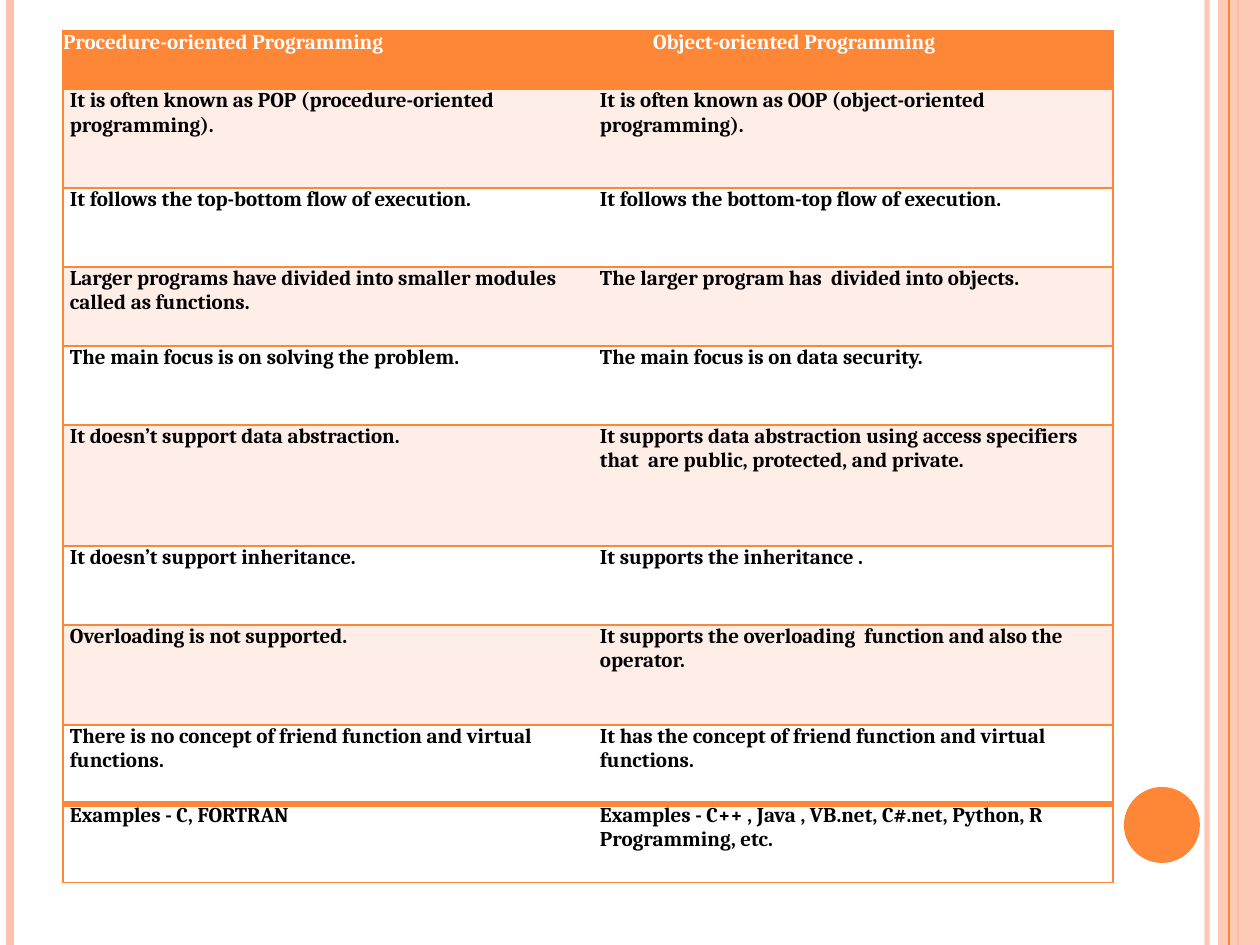
from dataclasses import dataclass

from pptx import Presentation
from pptx.dml.color import RGBColor
from pptx.enum.shapes import MSO_CONNECTOR, MSO_SHAPE
from pptx.oxml.ns import qn
from pptx.util import Emu, Pt
from lxml.etree import SubElement

# Content: one pair per row, the first being the header
ROWS = [
    ("Procedure-oriented Programming", "Object-oriented Programming"),
    ("It is often known as POP (procedure-oriented programming).",
     "It is often known as OOP (object-oriented programming)."),
    ("It follows the top-bottom flow of execution.",
     "It follows the bottom-top flow of execution."),
    ("Larger programs have divided into smaller modules called as functions.",
     "The larger program has  divided into objects."),
    ("The main focus is on solving the problem.",
     "The main focus is on data security."),
    ("It doesn’t support data abstraction.",
     "It supports data abstraction using access specifiers  that  are public, protected, and private."),
    ("It doesn’t support inheritance.", "It supports the inheritance ."),
    ("Overloading is not supported.",
     "It supports the overloading  function and also the operator."),
    ("There is no concept of friend function and virtual functions.",
     "It has the concept of friend function and virtual functions."),
    ("Examples - C, FORTRAN",
     "Examples - C++ , Java , VB.net, C#.net, Python, R Programming, etc."),
]


@dataclass(frozen=True)
class Theme:
    accent: str = "FE8637"
    pale: str = "FEC3AE"
    tint: str = "FFEDE8"
    white: str = "FFFFFF"
    black: str = "000000"
    font: str = "Cambria"
    size: float = 12
    border: float = 1
    thick_border: float = 4


THEME = Theme()

# Layout in px
SLIDE_WIDTH, SLIDE_HEIGHT = 1260, 945
TABLE_LEFT, TABLE_TOP = 63, 31
COLUMN_WIDTHS = [530, 520]
ROW_HEIGHTS = [58, 99, 79, 79, 79, 121, 79, 100, 79, 79]
HEADER_INDENTS, BODY_INDENT = [0, 60], 7
# x, colour, width in points, opacity in percent
OUTER_RULES = [(1207, THEME.pale, 3, 93), (10, THEME.pale, 4.5, 100),
               (1238, THEME.accent, 1.5, 100)]
INNER_RULE = (1229, THEME.accent, 0.75, 100)
BAND = (1218, 0, 42, SLIDE_HEIGHT)
CIRCLE = (1124, 787, 76, 76)


def px(value):
    return Emu(round(value * 914400 / 126))


def set_opacity(shape, percent):
    if percent < 100:
        color = next(shape.element.spPr.iter(qn("a:srgbClr")))
        SubElement(color, qn("a:alpha"), val=str(percent * 1000))


def add_rule(slide, x, color, width, opacity):
    rule = slide.shapes.add_connector(
        MSO_CONNECTOR.STRAIGHT, px(x), 0, px(x), px(SLIDE_HEIGHT))
    rule.line.color.rgb = RGBColor.from_string(color)
    rule.line.width = Pt(width)
    set_opacity(rule, opacity)
    SubElement(rule.element.spPr, qn("a:effectLst"))


def add_filled(slide, kind, box, color, opacity=100):
    shape = slide.shapes.add_shape(kind, *map(px, box))
    shape.shadow.inherit = False
    shape.fill.solid()
    shape.fill.fore_color.rgb = RGBColor.from_string(color)
    shape.line.fill.background()
    set_opacity(shape, opacity)


def set_borders(cell, widths):
    properties = cell._tc.get_or_add_tcPr()
    for side in "LRTB":
        width = widths.get(side, 0)
        line = SubElement(properties, qn(f"a:ln{side}"), w=str(Pt(width)))
        if width:
            fill = SubElement(line, qn("a:solidFill"))
            SubElement(fill, qn("a:srgbClr"), val=THEME.accent)
        else:
            SubElement(line, qn("a:noFill"))


def fill_cell(cell, text, row, column):
    header, last = row == 0, row == len(ROWS) - 1
    # Box: outer side plus top and bottom, heavy rule above the examples
    top = THEME.thick_border if last else THEME.border
    set_borders(cell, {"LR"[column]: THEME.border, "T": top, "B": THEME.border})
    tinted = row % 2 == 1 and not last
    color = THEME.accent if header else THEME.tint if tinted else THEME.white
    cell.fill.solid()
    cell.fill.fore_color.rgb = RGBColor.from_string(color)
    cell.margin_left = cell.margin_right = cell.margin_top = cell.margin_bottom = 0

    # Text
    cell.text_frame.text = text
    paragraph = cell.text_frame.paragraphs[0]
    indent = HEADER_INDENTS[column] if header else BODY_INDENT
    properties = paragraph._p.get_or_add_pPr()
    properties.set("marL", str(px(indent)))
    properties.set("indent", "0")
    paragraph.space_before = Pt(0 if header and column == 0 else 4)
    font = paragraph.runs[0].font
    font.name, font.size, font.bold = THEME.font, Pt(THEME.size), True
    font.color.rgb = RGBColor.from_string(THEME.white if header else THEME.black)


def add_comparison(slide):
    frame = slide.shapes.add_table(
        len(ROWS), len(COLUMN_WIDTHS), px(TABLE_LEFT), px(TABLE_TOP),
        px(sum(COLUMN_WIDTHS)), px(sum(ROW_HEIGHTS)))
    table = frame.table
    for column, width in zip(table.columns, COLUMN_WIDTHS):
        column.width = px(width)
    for row, height in zip(table.rows, ROW_HEIGHTS):
        row.height = px(height)
    for row, texts in enumerate(ROWS):
        for column, text in enumerate(texts):
            fill_cell(table.cell(row, column), text, row, column)


def main():
    presentation = Presentation()
    presentation.slide_width = px(SLIDE_WIDTH)
    presentation.slide_height = px(SLIDE_HEIGHT)
    slide = presentation.slides.add_slide(presentation.slide_layouts[6])

    # Side decoration
    for rule in OUTER_RULES:
        add_rule(slide, *rule)
    add_filled(slide, MSO_SHAPE.RECTANGLE, BAND, THEME.pale, 87)
    add_rule(slide, *INNER_RULE)
    add_filled(slide, MSO_SHAPE.OVAL, CIRCLE, THEME.accent)

    # Comparison table
    add_comparison(slide)
    presentation.save("out.pptx")


if __name__ == "__main__":
    main()
